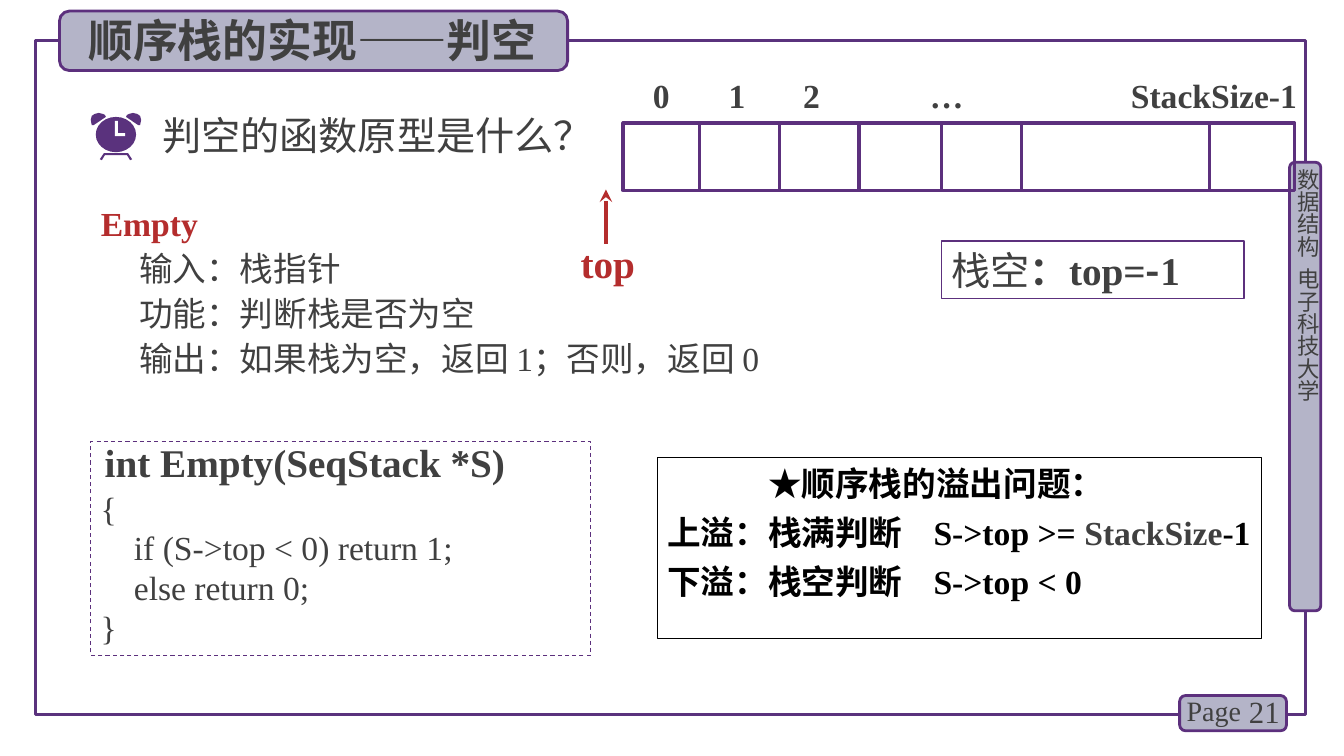
from dataclasses import dataclass

import lxml.etree
import pptx
import pptx.dml.color
import pptx.enum.dml
import pptx.enum.shapes
import pptx.enum.text
import pptx.oxml.ns
import pptx.util

Inches = pptx.util.Inches
Pt = pptx.util.Pt
PRESET = pptx.enum.shapes.MSO_SHAPE
ALIGN = pptx.enum.text.PP_ALIGN
ANCHOR = pptx.enum.text.MSO_ANCHOR
qn = pptx.oxml.ns.qn

COLORS = {"frame": "5A327D", "border": "5C307D", "plaque": "B4B4C8", "text": "404040",
          "accent": "B42D2D", "black": "000000", "white": "FFFFFF"}
HAN = "Noto Sans CJK SC"
ROMAN = "Times New Roman"


@dataclass
class Panel:
    box: tuple[float, float, float, float]
    preset: PRESET = PRESET.ROUNDED_RECTANGLE
    fill: str | None = "plaque"
    line: str = "border"
    width: float = 2


@dataclass
class Piece:
    text: str
    size: float = 24
    color: str = "text"
    bold: bool = False
    font: str = ROMAN


@dataclass
class Label:
    box: tuple[float, float, float, float]
    piece: Piece
    align: ALIGN = ALIGN.LEFT


def rgb(name: str) -> pptx.dml.color.RGBColor:
    return pptx.dml.color.RGBColor.from_string(COLORS[name])


def draw_panel(shapes, panel: Panel):
    shape = shapes.add_shape(panel.preset, *map(Inches, panel.box))
    shape.shadow.inherit = False
    if panel.fill:
        shape.fill.solid()
        shape.fill.fore_color.rgb = rgb(panel.fill)
    else:
        shape.fill.background()
    shape.line.color.rgb = rgb(panel.line)
    shape.line.width = Pt(panel.width)
    return shape


def draw_line(shapes, start: tuple[float, float], end: tuple[float, float],
              color: str, width: float):
    line = shapes.add_connector(pptx.enum.shapes.MSO_CONNECTOR.STRAIGHT,
                                *map(Inches, start + end))
    line.line.color.rgb = rgb(color)
    line.line.width = Pt(width)
    lxml.etree.SubElement(line.element.spPr, qn("a:effectLst"))
    return line


def draw_outline(shapes, points: list[tuple[float, float]], color: str) -> None:
    corners = [(Inches(x), Inches(y)) for x, y in points]
    builder = shapes.build_freeform(*corners[0], scale=1.0)
    builder.add_line_segments(corners[1:], close=True)
    shape = builder.convert_to_shape()
    shape.shadow.inherit = False
    shape.fill.solid()
    shape.fill.fore_color.rgb = rgb(color)
    shape.line.fill.background()


def write(frame, lines: list[list[Piece]], align=ALIGN.LEFT, anchor=ANCHOR.MIDDLE) -> None:
    """Fill a text frame with one paragraph per line, one run per piece."""
    frame.word_wrap = True
    frame.auto_size = pptx.enum.text.MSO_AUTO_SIZE.NONE
    frame.vertical_anchor = anchor
    frame.text = "\n".join("" for _ in lines)
    for paragraph, pieces in zip(frame.paragraphs, lines):
        paragraph.alignment = align
        for piece in pieces:
            run = paragraph.add_run()
            run.text = piece.text
            run.font.size = Pt(piece.size)
            run.font.bold = piece.bold
            run.font.color.rgb = rgb(piece.color)
            run.font.name = piece.font
            east_asian = lxml.etree.SubElement(run.font._element, qn("a:ea"))
            east_asian.set("typeface", HAN)


def draw_label(shapes, label: Label):
    box = shapes.add_textbox(*map(Inches, label.box))
    write(box.text_frame, [[label.piece]], label.align)
    return box


def indent(paragraph, inches: float) -> None:
    properties = paragraph._p.get_or_add_pPr()
    properties.set("marL", str(Inches(inches)))
    properties.set("indent", "0")


def place(placeholder, box: tuple[float, float, float, float], shapes) -> None:
    """Move a placeholder to its box and in front of everything drawn so far."""
    placeholder.left, placeholder.top, placeholder.width, placeholder.height = map(Inches, box)
    shapes.element.append(placeholder.element)


def draw_page_frame(shapes) -> None:
    for panel in (Panel((0.35, 0.4, 12.6, 6.69), PRESET.RECTANGLE, None, "frame", 2.25),
                  Panel((12.79, 1.61, 0.31, 4.45)),
                  Panel((11.7, 6.9, 1.06, 0.35))):
        draw_panel(shapes, panel)
    course = draw_label(shapes, Label((12.81, 1.67, 0.32, 4.3),
                                      Piece("数据结构  电子科技大学", 16, font=HAN))).text_frame
    course.margin_left = course.margin_right = course.margin_top = course.margin_bottom = 0
    course._txBody.bodyPr.set("vert", "eaVert")
    draw_label(shapes, Label((12.2, 6.86, 0.59, 0.4), Piece("21", 22), ALIGN.RIGHT))
    draw_label(shapes, Label((11.67, 6.83, 0.78, 0.44), Piece("Page", 20)))


def draw_alarm_clock(shapes) -> None:
    axis = 1.15
    bell = [(0.98, 1.12), (0.94, 1.13), (0.91, 1.15), (0.9, 1.19), (0.91, 1.24),
            (0.93, 1.24), (1.05, 1.16), (1.04, 1.14), (1.02, 1.13)]
    feet = [(0.99, 1.58), (1.03, 1.52), (1.27, 1.52), (1.31, 1.58),
            (1.29, 1.59), (1.26, 1.54), (1.04, 1.54), (1.01, 1.59)]
    hands = [(1.14, 1.2), (1.17, 1.2), (1.17, 1.32), (1.24, 1.32), (1.24, 1.35), (1.14, 1.35)]
    for part in (bell, [(2 * axis - x, y) for x, y in bell], feet):
        draw_outline(shapes, part, "frame")
    face = draw_panel(shapes, Panel((0.95, 1.16, 0.4, 0.35), PRESET.OVAL, "frame", "frame"))
    face.line.fill.background()
    draw_outline(shapes, hands, "white")


def draw_stack(shapes) -> None:
    top, height = 1.22, 0.67
    for text, center, width in (("0", 6.56, 0.5), ("1", 7.31, 0.5), ("2", 8.05, 0.5),
                                ("…", 9.39, 0.7), ("StackSize-1", 12.04, 1.95)):
        draw_label(shapes, Label((center - width / 2, 0.69, width, 0.5),
                                 Piece(text, bold=True), ALIGN.CENTER))
    draw_panel(shapes, Panel((6.18, top, 6.66, height), PRESET.RECTANGLE, None, width=2.25))
    for x in (6.94, 7.73, 8.52, 9.34, 10.13, 12):
        draw_line(shapes, (x, top), (x, top + height), "border", 2.25)
    arrow = draw_line(shapes, (6.01, 2.42), (6.01, 1.88), "accent", 3)
    lxml.etree.SubElement(arrow.line._get_or_add_ln(), qn("a:tailEnd"), type="stealth")
    draw_label(shapes, Label((5.66, 2.32, 0.79, 0.57), Piece("top", 28, "accent", True)))
    empty_rule = draw_panel(shapes, Panel((9.34, 2.39, 3, 0.57), PRESET.RECTANGLE, None, width=1))
    write(empty_rule.text_frame, [[Piece("栈空", 28, font=HAN), Piece("：top=", 28, bold=True),
                                   Piece("-", 28, bold=True, font=HAN),
                                   Piece("1", 28, bold=True)]])


def draw_code(shapes) -> None:
    code = draw_panel(shapes, Panel((0.9, 4.38, 4.96, 2.12), PRESET.RECTANGLE, None, width=0.75))
    code.line.dash_style = pptx.enum.dml.MSO_LINE.DASH
    lines = [("{", 0), ("if (S->top < 0) return 1;", 0.33), ("else return 0;", 0.33), ("}", 0)]
    write(code.text_frame, [[Piece(text)] for text, _ in lines], anchor=ANCHOR.TOP)
    code.text_frame.margin_top = Inches(0.46)
    for paragraph, (_, inset) in zip(code.text_frame.paragraphs, lines):
        paragraph.line_spacing = Pt(28.5)
        indent(paragraph, inset)
    draw_label(shapes, Label((0.94, 4.3, 4.9, 0.57),
                             Piece("int Empty(SeqStack *S)", 28, bold=True)))


def draw_overflow(shapes) -> None:
    overflow = draw_panel(shapes, Panel((6.52, 4.54, 5.99, 1.79), PRESET.RECTANGLE, None,
                                        "black", 0.75)).text_frame
    lines = [[("★顺序栈的溢出问题：", "black")],
             [("上溢：栈满判断\tS->top >= ", "black"), ("StackSize", "text"), ("-1", "black")],
             [("下溢：栈空判断\tS->top < 0", "black")]]
    write(overflow, [[Piece(text, 24, color, True) for text, color in line] for line in lines],
          anchor=ANCHOR.TOP)
    heading, *cases = overflow.paragraphs
    indent(heading, 1)
    for case in cases:
        case.space_before = Pt(6.3)
        stops = lxml.etree.SubElement(case._p.get_or_add_pPr(), qn("a:tabLst"))
        lxml.etree.SubElement(stops, qn("a:tab"), pos=str(Inches(2.64)), algn="l")


def main() -> None:
    deck = pptx.Presentation()
    deck.slide_width, deck.slide_height = Inches(13.33), Inches(7.5)
    slide = deck.slides.add_slide(deck.slide_layouts[1])
    shapes = slide.shapes
    title, prototype = slide.placeholders

    draw_page_frame(shapes)
    draw_label(shapes, Label((1.51, 1.05, 5.33, 0.57),
                             Piece("判空的函数原型是什么？", 28, font=HAN)))
    draw_alarm_clock(shapes)

    place(prototype, (0.9, 1.91, 11.22, 1.9), shapes)
    details = ["输入：栈指针", "功能：判断栈是否为空", "输出：如果栈为空，返回 1；否则，返回 0"]
    write(prototype.text_frame, [[Piece("Empty", 24, "accent", True)]]
          + [[Piece(detail)] for detail in details])
    for number, paragraph in enumerate(prototype.text_frame.paragraphs):
        paragraph.line_spacing = Pt(32)
        paragraph.space_before = Pt(0)
        indent(paragraph, 0.38 if number else 0)
        lxml.etree.SubElement(paragraph._p.get_or_add_pPr(), qn("a:buNone"))

    draw_panel(shapes, Panel((0.59, 0.11, 5.04, 0.59)))
    place(title, (0.73, 0.07, 4.74, 0.64), shapes)
    write(title.text_frame, [[Piece("顺序栈的实现——判空", 32, bold=True, font=HAN)]], ALIGN.CENTER)

    draw_stack(shapes)
    draw_code(shapes)
    draw_overflow(shapes)
    deck.save("out.pptx")


if __name__ == "__main__":
    main()
